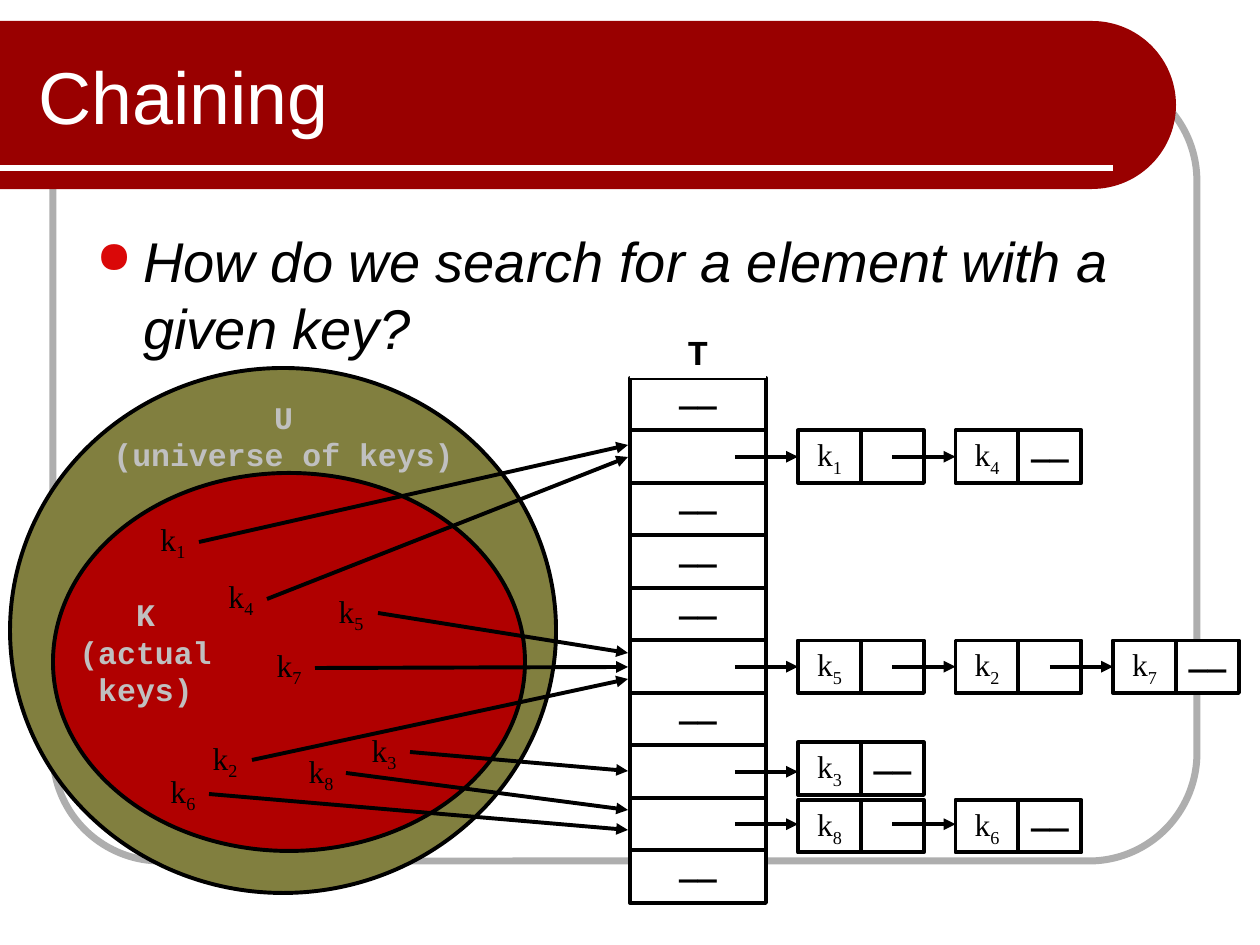
import math
import pptx
import pptx.util
import pptx.dml.color
import pptx.enum.shapes
import pptx.enum.text
import pptx.oxml
import pptx.oxml.ns
from lxml import etree

# Content
TITLE = "Chaining"
QUESTION = "How do we search for a element with a given key?"
SETS = [  # ellipse box, fill, label, label box
    ((10, 368, 546, 525), "817F3F", "U\n(universe of keys)", (82, 387, 403, 97)),
    ((53, 473, 472, 378), "B00000", "K\n(actual\nkeys)", (59, 582, 173, 139)),
]
KEYS = [  # key, label left and top, arrow start, arrow end height
    ("1", 147, 514, (199, 542), 445),
    ("4", 215, 571, (267, 599), 457),
    ("5", 325, 586, (378, 613), 653),
    ("7", 263, 640, (315, 668), 667),
    ("2", 199, 733, (252, 760), 679),
    ("3", 358, 725, (410, 752), 771),
    ("8", 295, 746, (346, 773), 810),
    ("6", 157, 766, (209, 794), 830),
]
CHAINS = {  # table row: keys in the list, vertical nudge of the nodes
    1: ("14", 0),
    5: ("527", 0),
    7: ("3", -3),
    8: ("86", 2),
}
NIL = "——"

# Geometry in px
ROWS = 10
TABLE_X, TABLE_Y, TABLE_W, TABLE_H = 630, 378, 136, 525
ROW_H = TABLE_H / ROWS
CELL_W = 63
NODE_X, NODE_PITCH = 798, CELL_W * 2.5

MONO, SERIF, SANS = "Courier New", "Times New Roman", "Arial"
ALIGN = pptx.enum.text.PP_ALIGN
MIDDLE = pptx.enum.text.MSO_ANCHOR.MIDDLE
SHAPE = pptx.enum.shapes.MSO_SHAPE


def px(n):
    return pptx.util.Emu(round(n * 914400 / 126))


def rgb(color):
    return pptx.dml.color.RGBColor.from_string(color)


def style(sp, fill=None, line=None, width=2.25):
    sp.shadow.inherit = False
    if fill:
        sp.fill.solid()
        sp.fill.fore_color.rgb = rgb(fill)
    else:
        sp.fill.background()
    if line:
        sp.line.color.rgb = rgb(line)
        sp.line.width = pptx.util.Pt(width)
    else:
        sp.line.fill.background()


def add_shape(kind, box, fill=None, line="000000", width=2.25):
    sp = s.shapes.add_shape(kind, *map(px, box))
    style(sp, fill, line, width)
    return sp


def add_box(box):
    return s.shapes.add_textbox(*map(px, box))


def format_run(r, size, font, color, bold=False):
    r.font.size = pptx.util.Pt(size)
    r.font.name = font
    r.font.bold = bold
    r.font.color.rgb = rgb(color)


def write(sp, text, size=18, color="000000"):
    tf = sp.text_frame
    tf.text = text
    tf.word_wrap = False
    tf.vertical_anchor = MIDDLE
    for p in tf.paragraphs:
        p.alignment = ALIGN.CENTER
        for r in p.runs:
            format_run(r, size, MONO, color, True)


def write_key(sp, key):
    tf = sp.text_frame
    tf.word_wrap = False
    tf.vertical_anchor = MIDDLE
    p = tf.paragraphs[0]
    p.alignment = ALIGN.CENTER
    for text in ("k", key):
        r = p.add_run()
        r.text = text
        format_run(r, 18, SERIF, "000000")
    r.font._element.set("baseline", "-25000")


def add_line(start, end, color="000000", width=2.25, arrow=True):
    c = s.shapes.add_connector(pptx.enum.shapes.MSO_CONNECTOR.STRAIGHT,
                               *map(px, (*start, *end)))
    c.line.color.rgb = rgb(color)
    c.line.width = pptx.util.Pt(width)
    if arrow:
        ln = c.line._get_or_add_ln()
        etree.SubElement(ln, pptx.oxml.ns.qn("a:tailEnd"), type="triangle")
    etree.SubElement(c._element.spPr, pptx.oxml.ns.qn("a:effectLst"))


prs = pptx.Presentation()
prs.slide_width, prs.slide_height = px(1260), px(945)
s = prs.slides.add_slide(prs.slide_layouts[5])

# Frame and title band with a round right end
frame = add_shape(SHAPE.ROUNDED_RECTANGLE, (53, 73, 1144, 788), None, "AEAEAE", 4)
frame.adjustments[0] = 0.137
radius, cx, cy = 84, 1092, 105
angles = [math.radians(a) for a in range(-90, 91, 3)]
outline = [(px(cx + radius * math.cos(a)), px(cy + radius * math.sin(a))) for a in angles]
fb = s.shapes.build_freeform(px(0), px(cy - radius), scale=1.0)
fb.add_line_segments(outline + [(px(0), px(cy + radius))], close=True)
style(fb.convert_to_shape(), "990000")
add_line((0, 168), (1113, 168), "FFFFFF", 3, arrow=False)

# Title, raised above the band
title = s.shapes.title
title.left, title.top, title.width, title.height = map(px, (26, 32, 982, 126))
title.text_frame.text = TITLE
title.text_frame.vertical_anchor = MIDDLE
p = title.text_frame.paragraphs[0]
p.alignment = ALIGN.LEFT
format_run(p.runs[0], 42, SANS, "FFFFFF")
s.shapes._spTree.append(title._element)

# Bulleted question
tf = add_box((84, 220, 1092, 609)).text_frame
tf.word_wrap = True
tf.text = QUESTION
p = tf.paragraphs[0]
p.space_before = pptx.util.Pt(5)
format_run(p.runs[0], 32, SANS, "000000")
p.runs[0].font.italic = True
pPr = p._p.get_or_add_pPr()
pPr.set("marL", str(px(47)))
pPr.set("indent", str(px(-47)))
NS = pptx.oxml.ns.nsdecls("a")
for xml in (f'<a:buClr {NS}><a:srgbClr val="DA0808"/></a:buClr>',
            f'<a:buSzPct {NS} val="80000"/>',
            f'<a:buChar {NS} char="●"/>'):
    pPr.append(pptx.oxml.parse_xml(xml))

# Universe and actual keys
for box, fill, _, _ in SETS:
    add_shape(SHAPE.OVAL, box, fill)

# Hash table, bottom row first, then its heading
for row in reversed(range(ROWS)):
    sp = add_shape(SHAPE.RECTANGLE,
                   (TABLE_X, TABLE_Y + row * ROW_H, TABLE_W, ROW_H), "FFFFFF")
    if row not in CHAINS:
        write(sp, NIL)
heading = add_shape(SHAPE.RECTANGLE, (TABLE_X, TABLE_Y - ROW_H, TABLE_W, ROW_H),
                    "FFFFFF", None)
write(heading, "T", 20)

# Set labels, keys and their arrows into the table
for _, _, label, box in SETS:
    write(add_box(box), label, color="C0C0C0")
for key, x, y, start, end_y in KEYS:
    write_key(add_box((x, y, 52, 54)), key)
    add_line(start, (628, end_y))

# Linked lists: nodes first, then the arrows leading to them
for row, (keys, nudge) in CHAINS.items():
    top = TABLE_Y + row * ROW_H
    lefts = [NODE_X + i * NODE_PITCH for i in range(len(keys))]
    for key, x in zip(keys, lefts):
        write_key(add_shape(SHAPE.RECTANGLE, (x, top + nudge, CELL_W, ROW_H), "FFFFFF"), key)
        link = add_shape(SHAPE.RECTANGLE, (x + CELL_W, top + nudge, CELL_W, ROW_H), "FFFFFF")
        if x == lefts[-1]:
            write(link, NIL)
    for x in lefts:
        add_line((x - CELL_W, top + ROW_H / 2), (x, top + ROW_H / 2))

prs.save("out.pptx")
